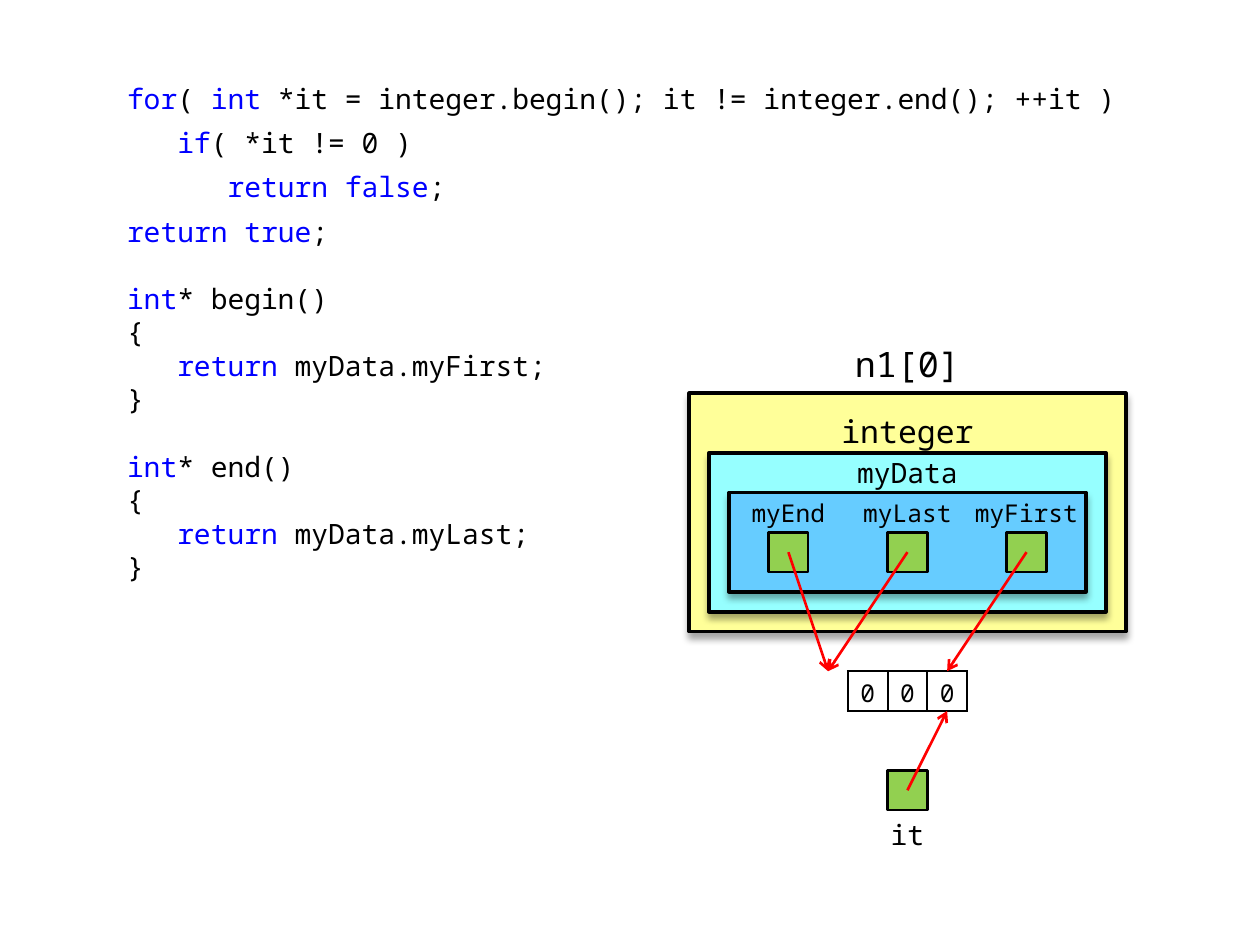
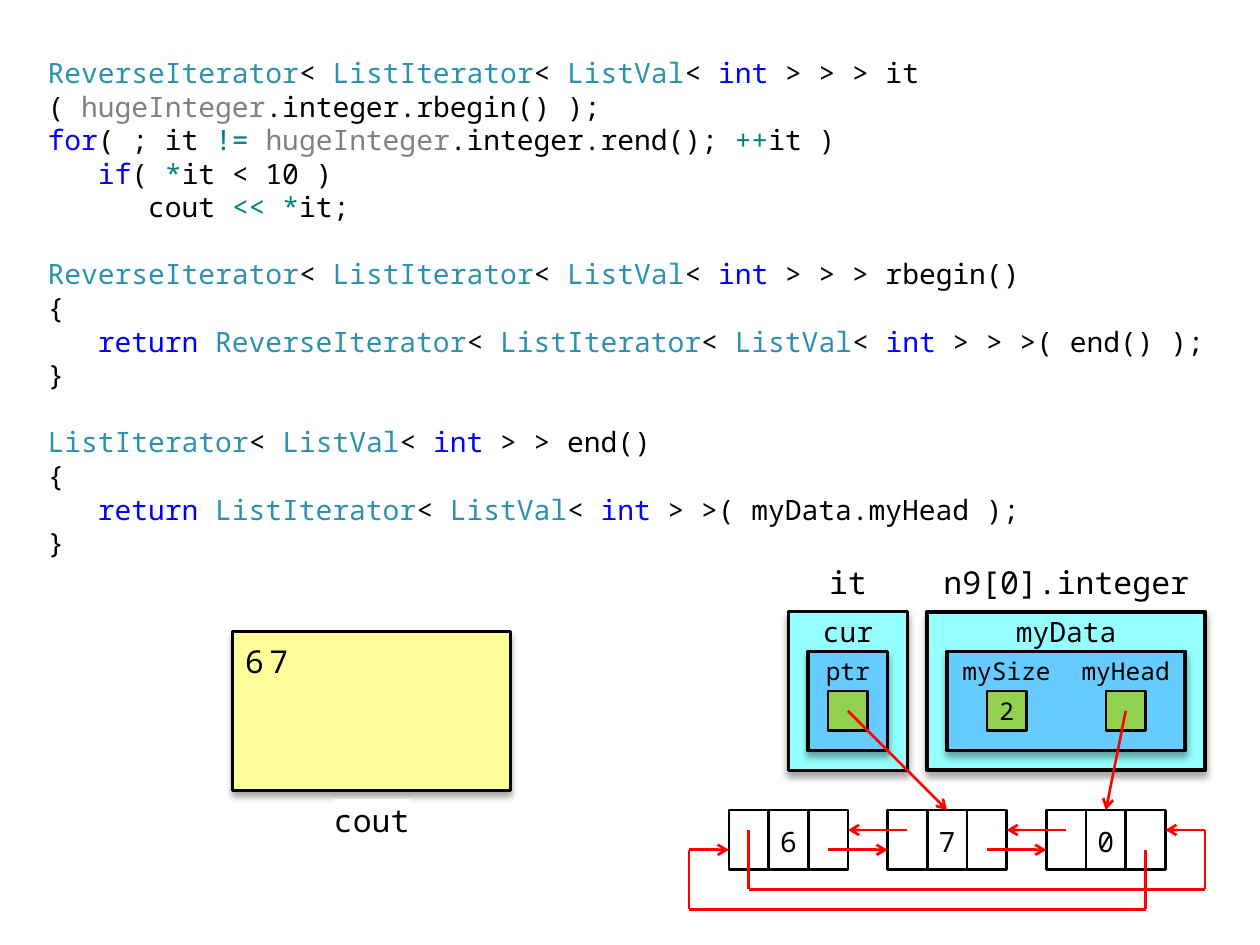
from itertools import groupby, pairwise

from lxml import etree
from pptx import Presentation
from pptx.dml.color import RGBColor
from pptx.enum.shapes import MSO_CONNECTOR, MSO_SHAPE
from pptx.enum.text import MSO_ANCHOR, PP_ALIGN
from pptx.oxml.ns import qn
from pptx.util import Inches, Pt

STRAIGHT = MSO_CONNECTOR.STRAIGHT
PROCESS, RECTANGLE = MSO_SHAPE.FLOWCHART_PROCESS, MSO_SHAPE.RECTANGLE
TOP, MIDDLE = MSO_ANCHOR.TOP, MSO_ANCHOR.MIDDLE
LEFT, CENTER = PP_ALIGN.LEFT, PP_ALIGN.CENTER

FONT = "Noto Sans Mono"
BLACK, WHITE, RED = "000000", "FFFFFF", "FF0000"
YELLOW, CYAN, BLUE, GREEN = "FFFF99", "96FFFF", "66CCFF", "92D050"
KEYWORD, TYPE, PARAMETER, OPERATOR = "0000FF", "2B91AF", "808080", "008080"
WORD_COLORS = {
    **dict.fromkeys(("for", "if", "int", "return", "true", "false"), KEYWORD),
    **dict.fromkeys(("ReverseIterator", "ListIterator", "ListVal"), TYPE),
    "hugeInteger": PARAMETER,
}
OVERLOADED_COLORS = dict.fromkeys(("!=", "++", "*", "<<"), OPERATOR)

GRID = 0.4 / 2.54
GRID_LEFT, GRID_TOP = 5.47, 2.65
LINE_HEIGHT = 19.2

VECTOR_CODE = (
    """for( int *it = integer.begin(); it != integer.end(); ++it )
   if( *it != 0 )
      return false;
return true;""",
    """int* begin()
{
   return myData.myFirst;
}""",
    """int* end()
{
   return myData.myLast;
}""",
)
LIST_CODE = (
    """ReverseIterator< ListIterator< ListVal< int > > > it ( hugeInteger.integer.rbegin() );
for( ; it != hugeInteger.integer.rend(); ++it )
   if( *it < 10 )
      cout << *it;""",
    """ReverseIterator< ListIterator< ListVal< int > > > rbegin()
{
   return ReverseIterator< ListIterator< ListVal< int > > >( end() );
}""",
    """ListIterator< ListVal< int > > end()
{
   return ListIterator< ListVal< int > >( myData.myHead );
}""",
)


def rgb(value):
    """Turn a hex string into a colour."""
    return RGBColor.from_string(value)


def place(x, y):
    """Turn grid steps into slide coordinates."""
    return Inches(GRID_LEFT + x * GRID), Inches(GRID_TOP + y * GRID)


def area(x, y, width, height):
    """Turn a rectangle in grid steps into slide lengths."""
    return *place(x, y), Inches(width * GRID), Inches(height * GRID)


def add_run(paragraph, text, size=16, color=BLACK, highlight=None, spacing=None):
    """Add formatted text to a paragraph."""
    run = paragraph.add_run()
    run.text = text
    run.font.size = Pt(size)
    run.font.name = FONT
    run.font.color.rgb = rgb(color)
    properties = run.font._element
    if highlight:
        mark = etree.Element(qn("a:highlight"))
        etree.SubElement(mark, qn("a:srgbClr"), val=highlight)
        properties.find(qn("a:latin")).addprevious(mark)
    if spacing:
        properties.set("spc", str(spacing * 100))


def fill_frame(shape, text, top=0, anchor=MIDDLE, align=CENTER, side=0.04, **style):
    """Put one paragraph into a shape."""
    frame = shape.text_frame
    frame.word_wrap = True
    frame.vertical_anchor = anchor
    frame.margin_left = frame.margin_right = Inches(side)
    frame.margin_top, frame.margin_bottom = Inches(top), 0
    frame.paragraphs[0].alignment = align
    add_run(frame.paragraphs[0], text, **style)


def add_label(slide, text, bounds, **style):
    """Add a text box on the grid."""
    fill_frame(slide.shapes.add_textbox(*area(*bounds)), text, **style)


def add_box(slide, bounds, fill=None, width=1.5, preset=RECTANGLE):
    """Add an outlined shape without shadow on the grid."""
    shape = slide.shapes.add_shape(preset, *area(*bounds))
    shape.shadow.inherit = False
    if fill:
        shape.fill.solid()
        shape.fill.fore_color.rgb = rgb(fill)
    else:
        shape.fill.background()
    shape.line.color.rgb = rgb(BLACK)
    shape.line.width = Pt(width)
    return shape


def add_panel(slide, bounds, fill, width=2.25):
    """Add a container with a soft shadow below it."""
    panel = add_box(slide, bounds, fill, width, PROCESS)
    effects = panel._element.spPr.find(qn("a:effectLst"))
    shadow = etree.SubElement(effects, qn("a:outerShdw"), blurRad=str(Pt(4)),
                              dist=str(Pt(3)), dir="5400000", rotWithShape="0")
    color = etree.SubElement(shadow, qn("a:srgbClr"), val=BLACK)
    etree.SubElement(color, qn("a:alpha"), val="35000")
    return panel


def add_arrow(slide, *points):
    """Join grid points by red lines with an arrowhead on the last one."""
    for start, end in pairwise(points):
        line = slide.shapes.add_connector(STRAIGHT, *place(*start), *place(*end))
        line.line.color.rgb = rgb(RED)
        line.line.width = Pt(1.5)
        etree.SubElement(line._element.spPr, qn("a:effectLst"))
    etree.SubElement(line.line._get_or_add_ln(), qn("a:tailEnd"), type="arrow")


def add_field(slide, name, x, y, width=6, value=None):
    """Add a named member with its green storage cell."""
    add_label(slide, name, (x, y, width, 2), size=14)
    cell = add_box(slide, (x + width / 2 - 1, y + 2, 2, 2), GREEN)
    if value:
        fill_frame(cell, value, size=14)


def add_array(slide, values, x, y):
    """Add a one-row table of array elements."""
    bounds = area(x, y, 2 * len(values), 2)
    table = slide.shapes.add_table(1, len(values), *bounds).table
    table.first_row = table.horz_banding = False
    for cell, value in zip(table.rows[0].cells, values):
        cell.vertical_anchor = MIDDLE
        cell.margin_left = cell.margin_right = Inches(0.06)
        cell.margin_top = cell.margin_bottom = Inches(0.04)
        paragraph = cell.text_frame.paragraphs[0]
        paragraph.alignment = CENTER
        add_run(paragraph, value, size=14)
        properties = cell._tc.get_or_add_tcPr()
        for side in ("lnL", "lnR", "lnT", "lnB"):
            border = etree.SubElement(properties, qn(f"a:{side}"), w=str(Pt(1.5)))
            solid = etree.SubElement(border, qn("a:solidFill"))
            etree.SubElement(solid, qn("a:srgbClr"), val=BLACK)
        cell.fill.background()


def character_kind(character):
    """Tell words, gaps and symbols apart."""
    return character.isalnum(), character.isspace()


def add_code(slide, blocks, left, top, width, colors, inset=0.05, gap=0):
    """Add highlighted code, with a line of space between blocks."""
    box = slide.shapes.add_textbox(Inches(left), Inches(top), Inches(width), Inches(4.09))
    frame = box.text_frame
    frame.word_wrap = True
    frame.margin_top = Inches(inset)
    for block_number, block in enumerate(blocks):
        for line_number, line in enumerate(block.split("\n")):
            first = block_number == line_number == 0
            paragraph = frame.paragraphs[0] if first else frame.add_paragraph()
            paragraph.line_spacing = Pt(LINE_HEIGHT)
            if line_number == 0:
                paragraph.space_before = Pt(LINE_HEIGHT if block_number else 0)
            else:
                paragraph.space_before = Pt(0 if block_number else gap)
            tokens = ["".join(group) for _, group in groupby(line, character_kind)]
            for color, group in groupby(tokens, lambda token: colors.get(token, BLACK)):
                add_run(paragraph, "".join(group), color=color)


def build_vector_slide(slide):
    """Show the iterator over a vector."""
    add_code(slide, VECTOR_CODE, 0.91, 0.6, 8.19, WORD_COLORS, gap=6)
    add_array(slide, "000", 8, 17)
    add_panel(slide, (0, 3, 22, 12), YELLOW)
    add_panel(slide, (1, 6, 20, 8), CYAN)
    add_panel(slide, (2, 8, 18, 5), BLUE, 2)
    add_label(slide, "n1[0]", (7, 0, 8, 3), size=20)
    add_label(slide, "integer", (7, 3, 8, 3), size=18, top=0.12)
    add_label(slide, "myData", (7, 6, 8, 2))
    for index, (name, target) in enumerate((("myEnd", 7), ("myLast", 7), ("myFirst", 13))):
        x = 2 + 6 * index
        add_field(slide, name, x, 8)
        add_arrow(slide, (x + 3, 11), (target, 17))
    add_box(slide, (10, 22, 2, 2), GREEN)
    add_label(slide, "it", (9, 24, 4, 2), top=0.06, anchor=TOP, highlight=WHITE)
    add_arrow(slide, (11, 23), (13, 19))


def add_linked_list(slide, values, x, y):
    """Add a circular doubly linked list of three-part nodes."""
    step = 8
    last = x + step * (len(values) - 1)
    for index, value in enumerate(values):
        left = x + step * index
        parts = [add_box(slide, (left + 2 * part, y, 2, 3)) for part in range(3)]
        fill_frame(parts[1], value, top=0.02)
        if index:
            add_arrow(slide, (left + 1, y + 1), (left - 2, y + 1))
            add_arrow(slide, (left - 3, y + 2), (left, y + 2))
    add_arrow(slide, (x + 1, y + 1), (x + 1, y + 4), (last + 8, y + 4),
              (last + 8, y + 1), (last + 6, y + 1))
    add_arrow(slide, (last + 5, y + 2), (last + 5, y + 5), (x - 2, y + 5),
              (x - 2, y + 2), (x, y + 2))


def build_list_slide(slide):
    """Show the reverse iterator over a linked list and its output."""
    add_code(slide, LIST_CODE, 0.28, 0.44, 9.45, WORD_COLORS | OVERLOADED_COLORS, inset=0)
    add_linked_list(slide, "670", 2, 24)
    add_panel(slide, (5, 14, 6, 8), CYAN, 2)
    add_panel(slide, (6, 16, 4, 5), BLUE, 2)
    add_label(slide, "it", (6, 11, 4, 3), size=18, highlight=WHITE)
    add_label(slide, "cur", (6, 14, 4, 2))
    add_field(slide, "ptr", 6, 16, width=4)
    add_panel(slide, (12, 14, 14, 8), CYAN)
    add_panel(slide, (13, 16, 12, 5), BLUE, 2)
    add_label(slide, "n9[0].integer", (12, 11, 14, 3), size=18)
    add_label(slide, "myData", (15, 14, 8, 2))
    add_field(slide, "mySize", 13, 16, value="2")
    add_field(slide, "myHead", 19, 16)
    add_arrow(slide, (22, 19), (21, 24))
    add_arrow(slide, (8, 19), (13, 24))
    console = add_panel(slide, (-23, 15, 14, 8), YELLOW, 1.5)
    fill_frame(console, "67", top=0.08, anchor=TOP, align=LEFT, side=0.1, size=18, spacing=3)
    add_label(slide, "cout", (-19, 23, 6, 3), size=18, highlight=WHITE)


def main():
    """Build and save the presentation."""
    presentation = Presentation()
    presentation.slide_width, presentation.slide_height = Inches(10), Inches(7.5)
    blank = presentation.slide_layouts[6]
    for build in (build_vector_slide, build_list_slide):
        build(presentation.slides.add_slide(blank))
    presentation.save("out.pptx")


if __name__ == "__main__":
    main()
